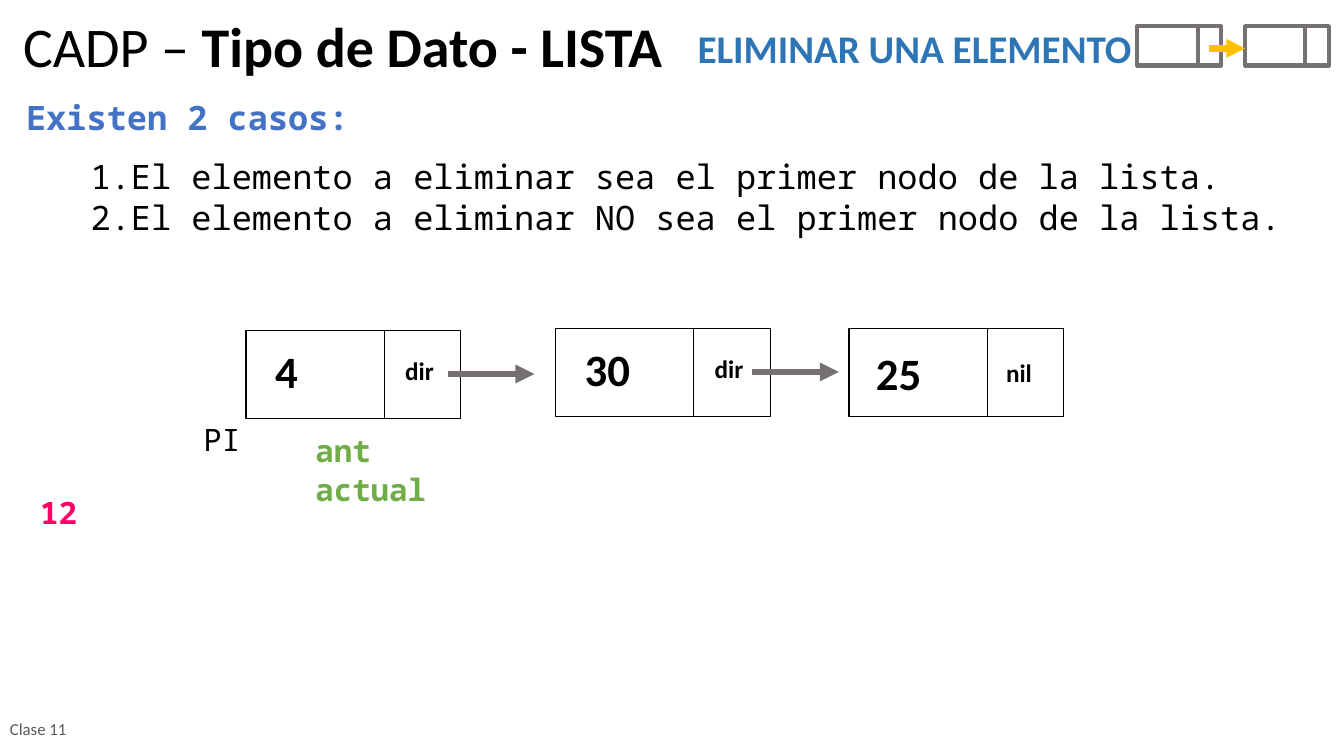
from dataclasses import dataclass

from lxml import etree
from pptx import Presentation
from pptx import util as u
from pptx.dml.color import RGBColor
from pptx.enum import shapes, text
from pptx.oxml.ns import qn

SCALE = 9144


@dataclass(frozen=True)
class Theme:
    sans: str = "Calibri"
    mono: str = "Noto Sans Mono"
    ink: str = "000000"
    footer: str = "595959"
    heading: str = "2E75B6"
    cases: str = "4472C4"
    pointer: str = "70AD47"
    number: str = "FF0066"
    grey: str = "767171"
    gold: str = "FFC000"
    title_size: int = 40
    value_size: int = 32
    heading_size: int = 28
    body_size: int = 24
    label_size: int = 22
    field_size: int = 18
    footer_size: int = 12


THEME = Theme()


def px(length):
    return u.Emu(length * SCALE)


def apply(target, values):
    for name, value in values.items():
        setattr(target, name, value)


def add_words(canvas, box, paragraphs, size, face=THEME.sans, color=THEME.ink,
              bold=False, frame_format=None, paragraph_format=None):
    label = canvas.add_textbox(*map(px, box))
    frame = label.text_frame
    apply(frame, {"word_wrap": True,
                  "auto_size": text.MSO_AUTO_SIZE.SHAPE_TO_FIT_TEXT,
                  **(frame_format or {})})
    for index, pieces in enumerate(paragraphs):
        line = frame.add_paragraph() if index else frame.paragraphs[0]
        apply(line, paragraph_format or {})
        for wording, strong in pieces:
            run = line.add_run()
            run.text = wording
            apply(run.font, {"name": face, "size": u.Pt(size), "bold": strong or bold})
            run.font.color.rgb = RGBColor.from_string(color)
    return frame


def add_label(canvas, box, wording, size, **style):
    return add_words(canvas, box, [[(wording, False)]], size, **style)


def add_stroke(canvas, start, end, color, weight, arrow=False):
    stroke = canvas.add_connector(shapes.MSO_CONNECTOR.STRAIGHT,
                                  *map(px, (*start, *end)))
    stroke.line.color.rgb = RGBColor.from_string(color)
    stroke.line.width = u.Pt(weight)
    if arrow:
        etree.SubElement(stroke.line._get_or_add_ln(), qn("a:tailEnd"), type="triangle")
    etree.SubElement(stroke._element.spPr, qn("a:effectLst"))


def add_cell(canvas, box, divider, color, weight, divider_weight):
    left, top, width, height = box
    outline = canvas.add_shape(shapes.MSO_SHAPE.RECTANGLE, *map(px, box))
    outline.shadow.inherit = False
    outline.fill.background()
    outline.line.color.rgb = RGBColor.from_string(color)
    outline.line.width = u.Pt(weight)
    add_stroke(canvas, (left + divider, top), (left + divider, top + height),
               color, divider_weight)


def add_node(slide, left, top, value, value_at, field, field_at):
    node = slide.shapes.add_group_shape().shapes
    add_cell(node, (left, top, 213, 87), 137, THEME.ink, 1, 0.5)
    for wording, (dx, dy), extent, size in (
        (value, value_at, (20 + 23 * len(value), 64), THEME.value_size),
        (field, field_at, (49 if field == "dir" else 46, 40), THEME.field_size),
    ):
        add_label(node, (left + dx, top + dy, *extent), wording, size, bold=True,
                  frame_format={"word_wrap": False})


def add_list_emblem(slide):
    emblem = slide.shapes.add_group_shape().shapes
    for left, divider in ((1128, 60), (1235, 59)):
        add_cell(emblem, (left, 26, 83, 39), divider, THEME.grey, 3, 3)
    add_stroke(emblem, (1199, 48), (1235, 48), THEME.gold, 4.5, arrow=True)


def add_headings(slide):
    fixed = {"auto_size": text.MSO_AUTO_SIZE.NONE}
    justified = {"alignment": text.PP_ALIGN.JUSTIFY}
    add_words(slide.shapes, (13, 14, 928, 76),
              [[("CADP – ", False), ("Tipo de Dato - LISTA", True)]],
              THEME.title_size, frame_format=fixed,
              paragraph_format={"line_spacing": 0.9})
    add_label(slide.shapes, (0, 702, 107, 43), "Clase 11", THEME.footer_size,
              color=THEME.footer,
              frame_format={**fixed, "vertical_anchor": text.MSO_ANCHOR.MIDDLE})
    add_list_emblem(slide)
    add_label(slide.shapes, (682, 19, 488, 57), "ELIMINAR UNA ELEMENTO",
              THEME.heading_size, color=THEME.heading, bold=True,
              paragraph_format=justified)
    add_label(slide.shapes, (16, 91, 473, 51), "Existen 2 casos:", THEME.body_size,
              face=THEME.mono, color=THEME.cases, bold=True,
              paragraph_format=justified)
    cases = add_words(
        slide.shapes, (30, 150, 1274, 91),
        [[("1.El elemento a eliminar sea el primer nodo de la lista.", False)],
         [("2.El elemento a eliminar NO sea el primer nodo de la lista.", False)]],
        THEME.body_size, face=THEME.mono, paragraph_format={**justified, "level": 1})
    for case in cases.paragraphs:
        margins = case._p.get_or_add_pPr()
        margins.set("marL", str(px(50)))
        margins.set("indent", "0")


def add_linked_list(slide):
    for node in (
        (244, 328, "4", (19, 8), "dir", (148, 20)),
        (551, 326, "30", (19, 8), "dir", (148, 20)),
        (842, 326, "25", (17, 12), "nil", (146, 24)),
    ):
        add_node(slide, *node)
    for left, top in ((746, 369), (444, 371)):
        add_stroke(slide.shapes, (left, top), (left + 86, top), THEME.grey, 4.5,
                   arrow=True)
    for box, wording, color, bold in (
        ((192, 412, 94, 47), "PI", THEME.ink, False),
        ((30, 485, 94, 47), "12", THEME.number, True),
        ((303, 423, 140, 47), "ant", THEME.pointer, True),
        ((303, 462, 140, 47), "actual", THEME.pointer, True),
    ):
        add_label(slide.shapes, box, wording, THEME.label_size, face=THEME.mono,
                  color=color, bold=bold)


def main():
    deck = Presentation()
    apply(deck, {"slide_width": px(1333), "slide_height": px(750)})
    slide = deck.slides.add_slide(deck.slide_layouts[6])
    add_headings(slide)
    add_linked_list(slide)
    deck.save("out.pptx")


if __name__ == "__main__":
    main()
